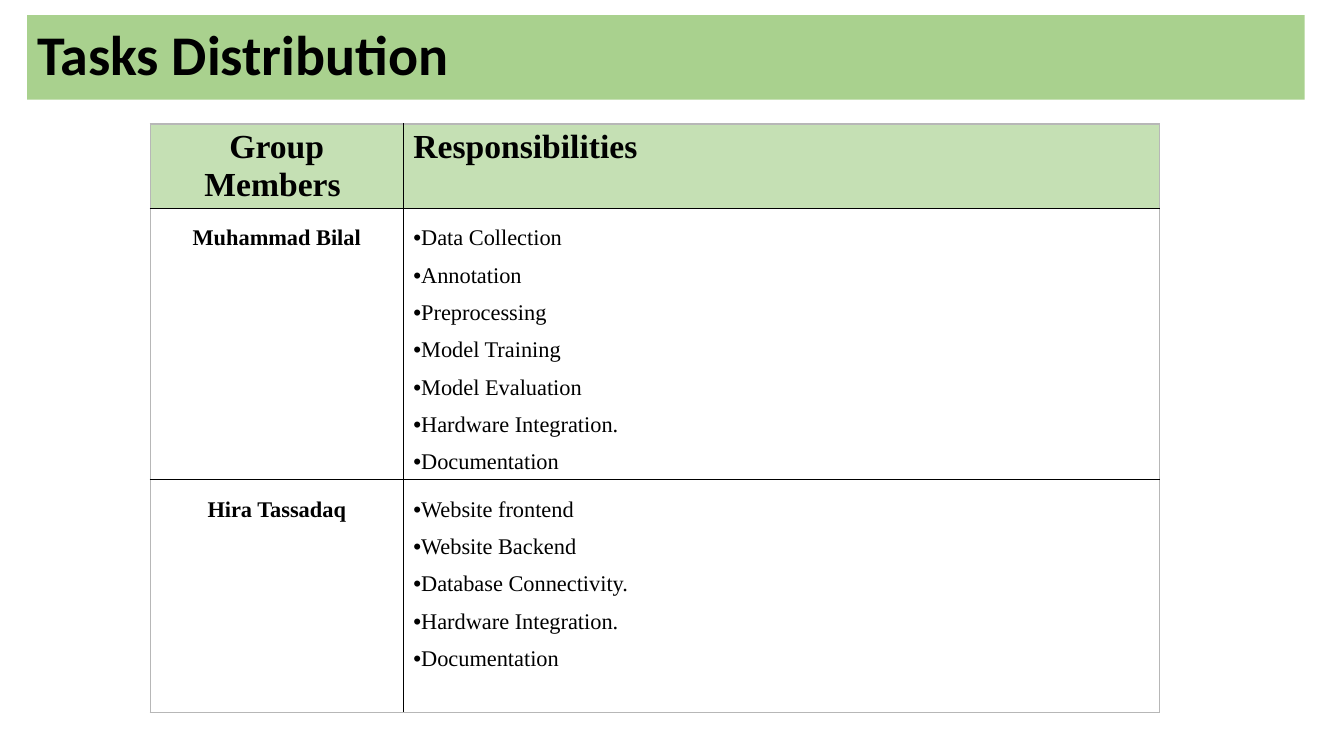
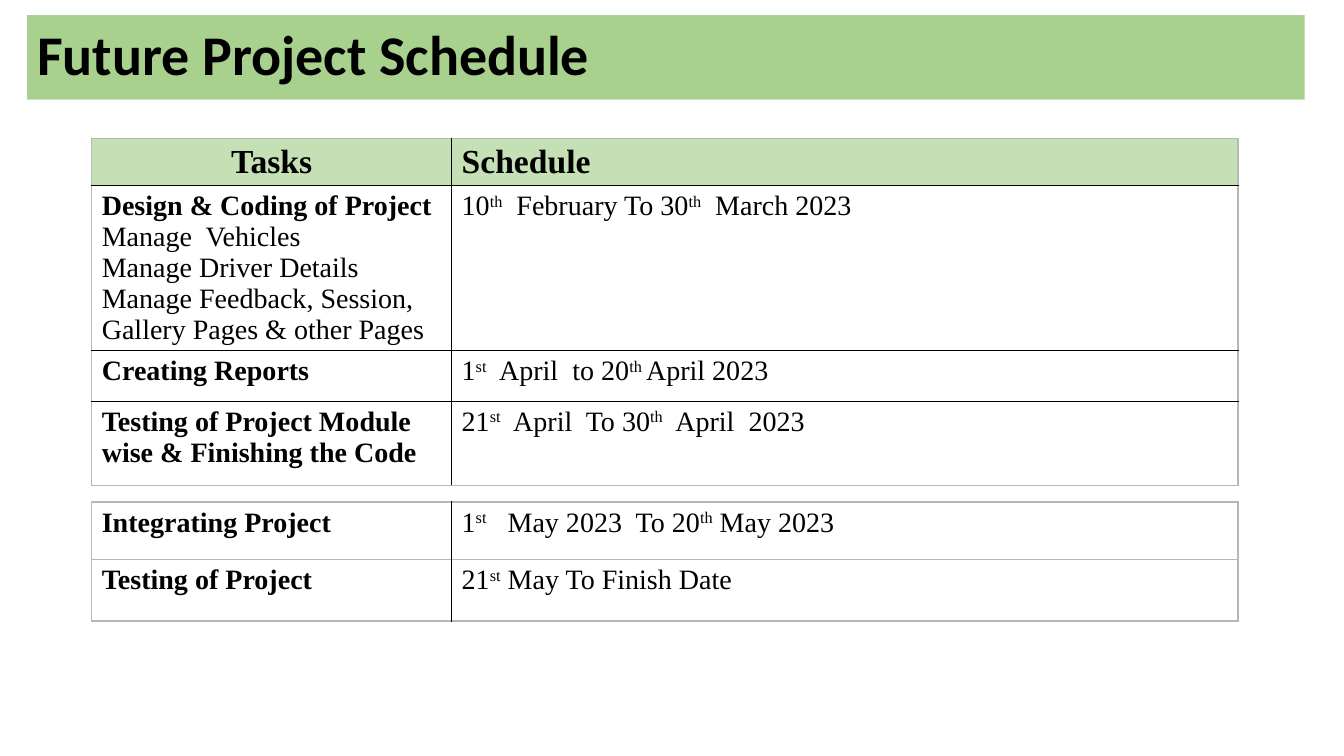
import pptx
import pptx.dml.color
import pptx.enum.shapes
import pptx.enum.text
import pptx.oxml
import pptx.oxml.ns
import pptx.util
from pptx.util import Inches

ALIGN = pptx.enum.text.PP_ALIGN


def rgb(hex_string):
    return pptx.dml.color.RGBColor.from_string(hex_string)


class Deck:
    BAND, HEADER, TEXT = "A9D18E", "C5E0B4", "000000"
    INNER_LINE, OUTER_LINE = "000000", "B7B7B7"
    TITLE_FONT, TABLE_FONT, BULLET_FONT = "Calibri", "Times New Roman", "Arial"
    TITLE_SIZE, HEADER_SIZE = 40, 24

    def __init__(self):
        self.presentation = pptx.Presentation()
        self.presentation.slide_width = Inches(13.33)
        self.presentation.slide_height = Inches(7.5)
        self.slide = None

    def add_slide(self, title):
        """Start a slide with its title on the green band."""
        blank = self.presentation.slide_layouts[6]
        self.slide = self.presentation.slides.add_slide(blank)
        band = self.slide.shapes.add_shape(
            pptx.enum.shapes.MSO_SHAPE.RECTANGLE,
            Inches(0.27), Inches(0.15), Inches(12.67), Inches(0.84))
        band.shadow.inherit = False
        band.fill.solid()
        band.fill.fore_color.rgb = rgb(self.BAND)
        band.line.fill.background()
        band.text_frame.word_wrap = True
        band.text_frame.vertical_anchor = pptx.enum.text.MSO_ANCHOR.MIDDLE
        heading = band.text_frame.paragraphs[0]
        heading.text = title
        heading.alignment = ALIGN.LEFT
        heading.line_spacing = 0.9
        self.style_run(heading.runs[0], self.TITLE_FONT, self.TITLE_SIZE, True)

    def style_run(self, run, font, size, bold):
        run.font.name = font
        run.font.size = pptx.util.Pt(size)
        run.font.bold = bold
        run.font.color.rgb = rgb(self.TEXT)

    def add_table(self, left, top, widths, heights, rows, size,
                  header=True, centre_names=False, bullets=False, spacing=None):
        """Draw rows of cells; each cell is a list of paragraphs."""
        table = self.slide.shapes.add_table(
            len(rows), len(widths), Inches(left), Inches(top),
            Inches(sum(widths)), Inches(sum(heights))).table
        table.first_row = header
        table.horz_banding = False
        for column, width in zip(table.columns, widths):
            column.width = Inches(width)
        for row, height in zip(table.rows, heights):
            row.height = Inches(height)

        last_row, last_column = len(rows) - 1, len(widths) - 1
        for r, row in enumerate(rows):
            is_header = header and r == 0
            for c, lines in enumerate(row):
                cell = table.cell(r, c)
                self.add_borders(cell, L=c == 0, R=c == last_column,
                                 T=r == 0, B=r == last_row)
                if is_header:
                    cell.fill.solid()
                    cell.fill.fore_color.rgb = rgb(self.HEADER)
                else:
                    cell.fill.background()
                cell.text_frame.text = "\n".join(lines)
                centred = c == 0 and (is_header or centre_names)
                for i, paragraph in enumerate(cell.text_frame.paragraphs):
                    paragraph.alignment = ALIGN.CENTER if centred else ALIGN.LEFT
                    if spacing and not is_header:
                        paragraph.line_spacing = spacing
                    if bullets and c > 0 and not is_header:
                        self.add_bullet(paragraph)
                    self.format_text(
                        paragraph, self.HEADER_SIZE if is_header else size,
                        is_header or (c == 0 and i == 0))

    def format_text(self, paragraph, size, bold):
        """Style the text, raising the parts between ^ marks."""
        parts = paragraph.text.split("^")
        paragraph.text = parts[0]
        for part in parts[1:]:
            paragraph.add_run().text = part
        for i, run in enumerate(paragraph.runs):
            self.style_run(run, self.TABLE_FONT, size, bold)
            if i % 2:
                run._r.get_or_add_rPr().set("baseline", "30000")

    def add_bullet(self, paragraph):
        properties = paragraph._p.get_or_add_pPr()
        properties.set("marL", "0")
        properties.set("indent", "0")
        namespace = pptx.oxml.ns.nsdecls("a")
        for tag in (f'buFont {namespace} typeface="{self.BULLET_FONT}"',
                    f'buChar {namespace} char="•"'):
            properties.append(pptx.oxml.parse_xml(f"<a:{tag}/>"))

    def add_borders(self, cell, **outer_sides):
        """Line all four sides, lighter where the side is the table's edge."""
        properties = cell._tc.get_or_add_tcPr()
        for side, outer in outer_sides.items():
            colour = self.OUTER_LINE if outer else self.INNER_LINE
            properties.append(pptx.oxml.parse_xml(
                f'<a:ln{side} {pptx.oxml.ns.nsdecls("a")} w="12700">'
                f'<a:solidFill><a:srgbClr val="{colour}"/></a:solidFill>'
                f'</a:ln{side}>'))


def add_tasks(deck):
    deck.add_slide("Tasks Distribution")
    deck.add_table(1.49, 1.23, [2.51, 7.5], [0.45, 2.47, 2.31], [
        [["Group Members "], ["Responsibilities"]],
        [["Muhammad Bilal"],
         ["Data Collection", "Annotation", "Preprocessing", "Model Training",
          "Model Evaluation", "Hardware Integration.", "Documentation"]],
        [["Hira Tassadaq"],
         ["Website frontend", "Website Backend", "Database Connectivity.",
          "Hardware Integration.", "Documentation"]],
    ], size=16, centre_names=True, bullets=True, spacing=1.5)


def add_schedule(deck):
    deck.add_slide("Future Project Schedule")
    left, widths, size = 0.91, [3.57, 7.8], 20
    deck.add_table(left, 1.37, widths, [0.46, 1.62, 0.5, 0.84], [
        [["Tasks"], ["Schedule"]],
        [["Design & Coding of Project", "Manage  Vehicles",
          "Manage Driver Details",
          "Manage Feedback, Session, Gallery Pages & other Pages"],
         ["10^th^  February To 30^th^  March 2023"]],
        [["Creating Reports"], ["1^st^  April  to 20^th ^April 2023"]],
        [["Testing of Project Module wise & Finishing the Code"],
         ["21^st^  April  To 30^th^  April  2023"]],
    ], size)

    top = 4.98
    for height, task, dates in [
        (0.57, "Integrating Project", "1^st^   May 2023  To 20^th^ May 2023"),
        (0.61, "Testing of Project", "21^st^ May To Finish Date"),
    ]:
        deck.add_table(left, top, widths, [height], [[[task], [dates]]], size,
                       header=False)
        top += height


def main():
    deck = Deck()
    add_tasks(deck)
    add_schedule(deck)
    deck.presentation.save("out.pptx")


if __name__ == "__main__":
    main()
